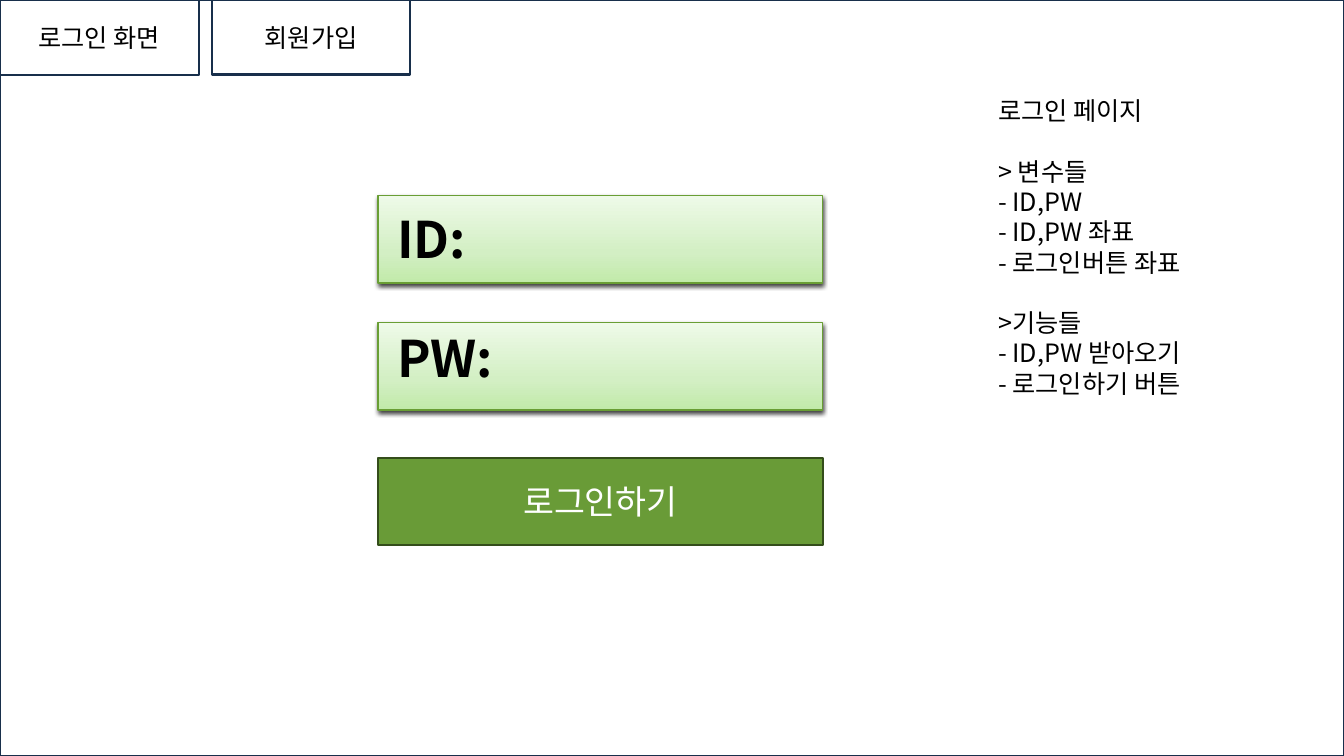
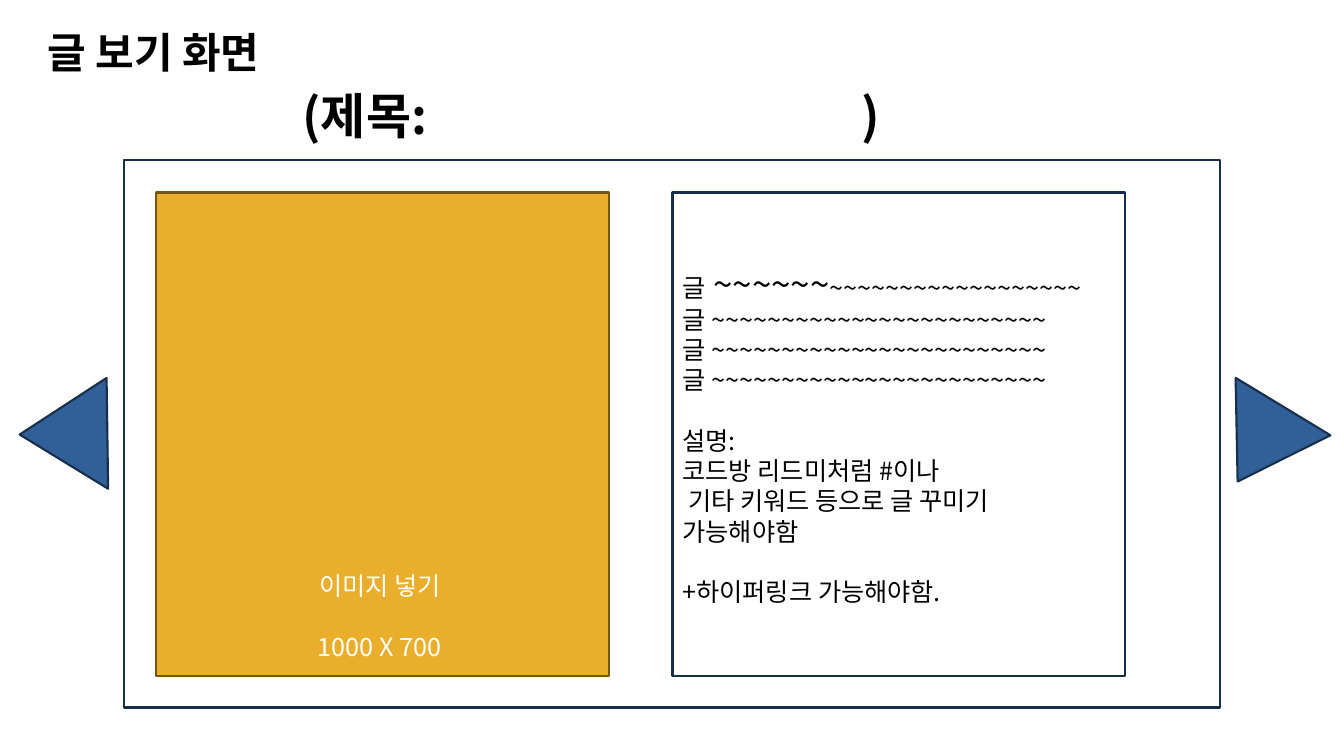
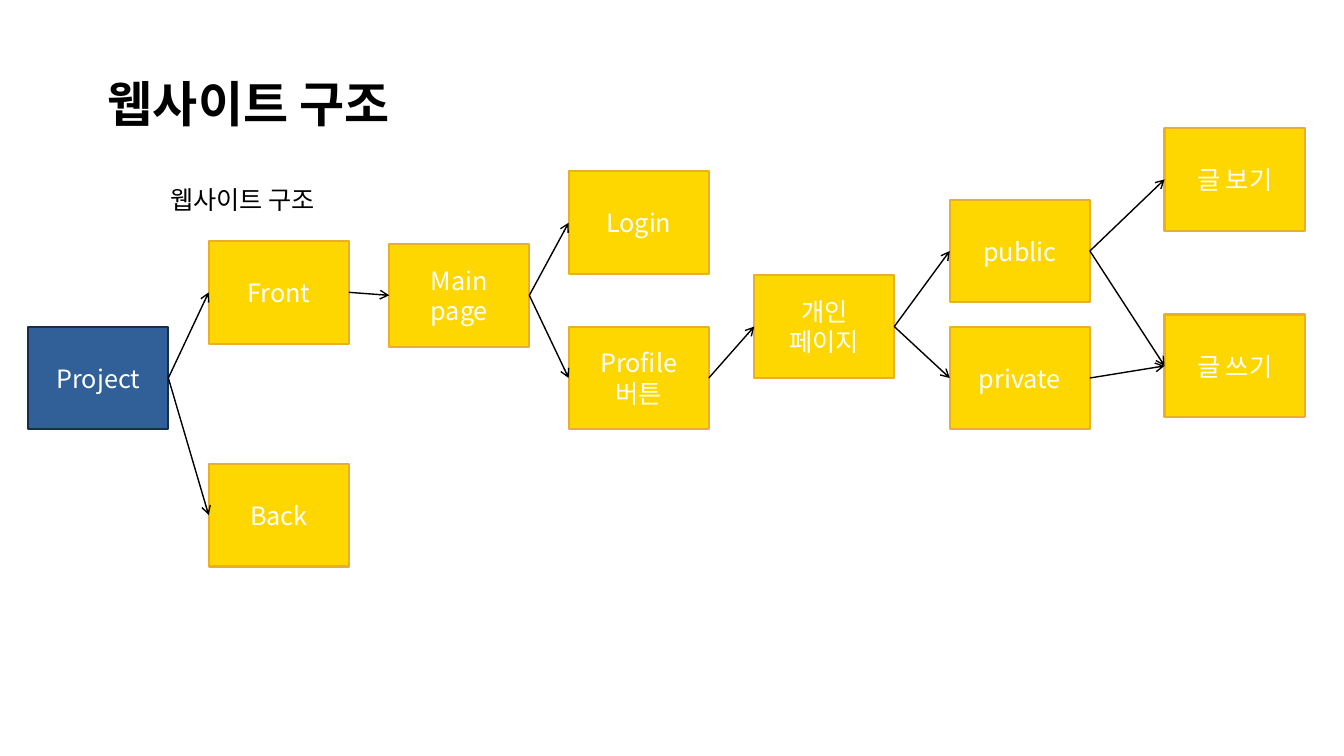
"""Build three wireframe slides: login page, post view and site structure."""
import copy
import pptx
import pptx.util
import pptx.dml.color
import pptx.enum.shapes
import pptx.enum.text
import pptx.oxml
import pptx.oxml.ns
import lxml.etree

Inches = pptx.util.Inches
Pt = pptx.util.Pt
RGBColor = pptx.dml.color.RGBColor
Shape = pptx.enum.shapes.MSO_SHAPE
Align = pptx.enum.text.PP_ALIGN
Anchor = pptx.enum.text.MSO_ANCHOR
qn = pptx.oxml.ns.qn

FONT = "Noto Sans CJK KR"
WHITE = RGBColor(0xFF, 0xFF, 0xFF)
BLACK = RGBColor(0, 0, 0)
NAVY = RGBColor(0x18, 0x2F, 0x4B)
BLUE = RGBColor(0x31, 0x5F, 0x97)
GREEN = RGBColor(0x69, 0x9B, 0x37)
MOSS = RGBColor(0x34, 0x4D, 0x1B)
LEAF = RGBColor(0x69, 0x9E, 0x34)
AMBER = RGBColor(0xE9, 0xAE, 0x2B)
BROWN = RGBColor(0x74, 0x56, 0x15)
GOLD = RGBColor(0xFF, 0xD7, 0x00)
FADE = [
    (0, RGBColor(0xC1, 0xEA, 0xA9)),
    (0.35, RGBColor(0xD3, 0xEF, 0xC4)),
    (1, RGBColor(0xEE, 0xFA, 0xE8)),
]


def paint(shape, at, fill, line, width=1.5):
    """Place a shape and set its fill and outline."""
    shape.left, shape.top, shape.width, shape.height = map(Inches, at)
    shape.shadow.inherit = False
    if fill is None:
        shape.fill.background()
    else:
        shape.fill.solid()
        shape.fill.fore_color.rgb = fill
    if line is None:
        shape.line.fill.background()
    else:
        shape.line.color.rgb = line
        shape.line.width = Pt(width)
    return shape


def write(shape, lines, size=18, color=BLACK, bold=False, align=Align.LEFT, anchor=Anchor.TOP):
    """Write lines into a shape; an empty entry opens a gap above the next line."""
    frame = shape.text_frame
    frame.text = "\n".join(line for line in lines if line)
    frame.word_wrap = True
    frame.auto_size = pptx.enum.text.MSO_AUTO_SIZE.NONE
    frame.vertical_anchor = anchor
    gaps = [not lines[i - 1] for i in range(len(lines)) if lines[i]]
    for par, gap in zip(frame.paragraphs, gaps):
        par.alignment = align
        par.line_spacing = Pt(size * 1.2)
        par.space_before = Pt(size * 1.2 if gap else 0)
        for run in par.runs:
            run.font.name = FONT
            run.font.size = Pt(size)
            run.font.bold = bold
            run.font.color.rgb = color
            east = lxml.etree.SubElement(run.font._element, qn("a:ea"))
            east.set("typeface", FONT)
    return frame


deck = pptx.Presentation()
deck.slide_width, deck.slide_height = Inches(13.33), Inches(7.5)

login = deck.slides.add_slide(deck.slide_layouts[1])
paint(login.shapes.add_shape(Shape.RECTANGLE, 0, 0, 0, 0), (0, 0, 13.33, 7.5), None, NAVY)
tab = login.shapes.add_shape(Shape.RECTANGLE, 0, 0, 0, 0)
for shape, left, text in [(login.shapes.title, 0, "로그인 화면"), (tab, 2.1, "회원가입")]:
    paint(shape, (left, 0, 1.97, 0.74), WHITE, NAVY)
    write(shape, [text], align=Align.CENTER, anchor=Anchor.MIDDLE)

for top in (1.94, 3.2):
    field = login.shapes.add_shape(Shape.RECTANGLE, 0, 0, 0, 0)
    paint(field, (3.75, top, 4.41, 0.87), WHITE, LEAF, 1)
    field.fill.gradient()
    field.fill.gradient_angle = 90
    stops = field._element.spPr.find(".//" + qn("a:gsLst"))
    stops.insert(1, copy.deepcopy(stops[0]))
    for stop, (place, color) in zip(field.fill.gradient_stops, FADE):
        stop.position = place
        stop.color.rgb = color
    field._element.spPr.find(qn("a:effectLst")).append(pptx.oxml.parse_xml(
        '<a:outerShdw xmlns:a="http://schemas.openxmlformats.org/drawingml/2006/main"'
        ' blurRad="38100" dist="25400" dir="5400000" rotWithShape="0">'
        '<a:srgbClr val="000000"><a:alpha val="75000"/></a:srgbClr></a:outerShdw>'))

for text, top in [("ID:", 2.02), ("PW:", 3.2)]:
    label = login.shapes.add_textbox(Inches(3.84), Inches(top), Inches(1.5), Inches(0.7))
    write(label, [text], 36, bold=True)

button = login.shapes.add_shape(Shape.RECTANGLE, 0, 0, 0, 0)
paint(button, (3.75, 4.54, 4.41, 0.87), GREEN, MOSS)
write(button, ["로그인하기"], 24, WHITE, align=Align.CENTER, anchor=Anchor.MIDDLE)

notes = paint(login.placeholders[1], (9.8, 0.9, 2.23, 4), None, None)
frame = write(notes, [
    "로그인 페이지", "",
    "> 변수들", "- ID,PW", "- ID,PW 좌표", "- 로그인버튼 좌표", "",
    ">기능들", "- ID,PW 받아오기", "- 로그인하기 버튼",
])
for par in frame.paragraphs:
    props = par._p.get_or_add_pPr()
    props.set("marL", "0")
    props.set("indent", "0")
    lxml.etree.SubElement(props, qn("a:buNone"))

view = deck.slides.add_slide(deck.slide_layouts[5])
title = paint(view.shapes.title, (0.37, 0.21, 9.08, 0.59), None, None)
write(title, ["글 보기 화면"], 30, bold=True)
for left, top, turn in [(11.95, 3.97, 211.2), (0.08, 3.87, 269.2)]:
    arrow = view.shapes.add_shape(Shape.ISOSCELES_TRIANGLE, 0, 0, 0, 0)
    paint(arrow, (left, top, 1.1, 0.87), BLUE, NAVY).rotation = turn

panel, image, post = [
    paint(view.shapes.add_shape(Shape.RECTANGLE, 0, 0, 0, 0), at, fill, line)
    for at, fill, line in [
        ((1.23, 1.59, 10.87, 5.43), WHITE, NAVY),
        ((1.55, 1.91, 4.49, 4.8), AMBER, BROWN),
        ((6.67, 1.91, 4.49, 4.8), None, NAVY),
    ]
]
frame = write(image, ["이미지 넣기 ", "", "1000 X 700 "], 18, WHITE,
              align=Align.CENTER, anchor=Anchor.BOTTOM)
frame.margin_bottom = Inches(0.15)

frame = write(post, ["글"] + ["글 " + "~" * 24] * 3 + [
    "", "설명:", "코드방 리드미처럼 #이나", " 기타 키워드 등으로 글 꾸미기", "가능해야함",
    "", "+하이퍼링크 가능해야함.",
], anchor=Anchor.MIDDLE)
first = frame.paragraphs[0]
first.line_spacing = Pt(30)
for text, size in [(" " + "~" * 6, 25), ("~" * 18, 18)]:
    first._p.append(copy.deepcopy(first.runs[0]._r))
    first.runs[-1].text = text
    first.runs[-1].font.size = Pt(size)

head = view.shapes.add_textbox(Inches(2.79), Inches(0.8), Inches(9.31), Inches(0.99))
frame = write(head, [" (제목:\t)"], 35, bold=True)
tabs = lxml.etree.SubElement(frame.paragraphs[0]._p.get_or_add_pPr(), qn("a:tabLst"))
lxml.etree.SubElement(tabs, qn("a:tab"), pos=str(Inches(5.66)), algn="l")

site = deck.slides.add_slide(deck.slide_layouts[5])
title = paint(site.shapes.title, (0.97, 0.68, 3.18, 0.68), None, None)
write(title, ["웹사이트 구조"], 35, bold=True)
label = site.shapes.add_textbox(Inches(1.59), Inches(1.78), Inches(1.73), Inches(0.39))
write(label, ["웹사이트 구조"])

nodes = {}
for name, left, top, lines in [
    ("root", 0.28, 3.24, ["Project"]),
    ("front", 2.07, 2.39, ["Front"]),
    ("back", 2.07, 4.6, ["Back"]),
    ("main", 3.86, 2.42, ["Main", "page"]),
    ("login", 5.64, 1.7, ["Login"]),
    ("profile", 5.64, 3.24, ["Profile", "버튼"]),
    ("own", 7.48, 2.73, ["개인", "페이지"]),
    ("public", 9.42, 1.98, ["public"]),
    ("private", 9.42, 3.24, ["private"]),
    ("read", 11.55, 1.27, ["글 보기"]),
    ("write", 11.55, 3.12, ["글 쓰기"]),
]:
    node = site.shapes.add_shape(Shape.RECTANGLE, 0, 0, 0, 0)
    fill, line = (BLUE, NAVY) if name == "root" else (GOLD, AMBER)
    paint(node, (left, top, 1.39, 1.02), fill, line)
    write(node, lines, 18, WHITE, align=Align.CENTER, anchor=Anchor.MIDDLE)
    nodes[name] = node

for start, end in [
    ("root", "front"), ("root", "back"), ("front", "main"),
    ("main", "login"), ("main", "profile"), ("profile", "own"),
    ("own", "public"), ("own", "private"),
    ("public", "read"), ("public", "write"), ("private", "write"),
]:
    link = site.shapes.add_connector(pptx.enum.shapes.MSO_CONNECTOR.STRAIGHT, 0, 0, 0, 0)
    link.begin_connect(nodes[start], 3)
    link.end_connect(nodes[end], 1)
    link.line.color.rgb = BLACK
    link.line.width = Pt(1)
    lxml.etree.SubElement(link.line._get_or_add_ln(), qn("a:tailEnd"), type="arrow")
    lxml.etree.SubElement(link._element.spPr, qn("a:effectLst"))

deck.save("out.pptx")
